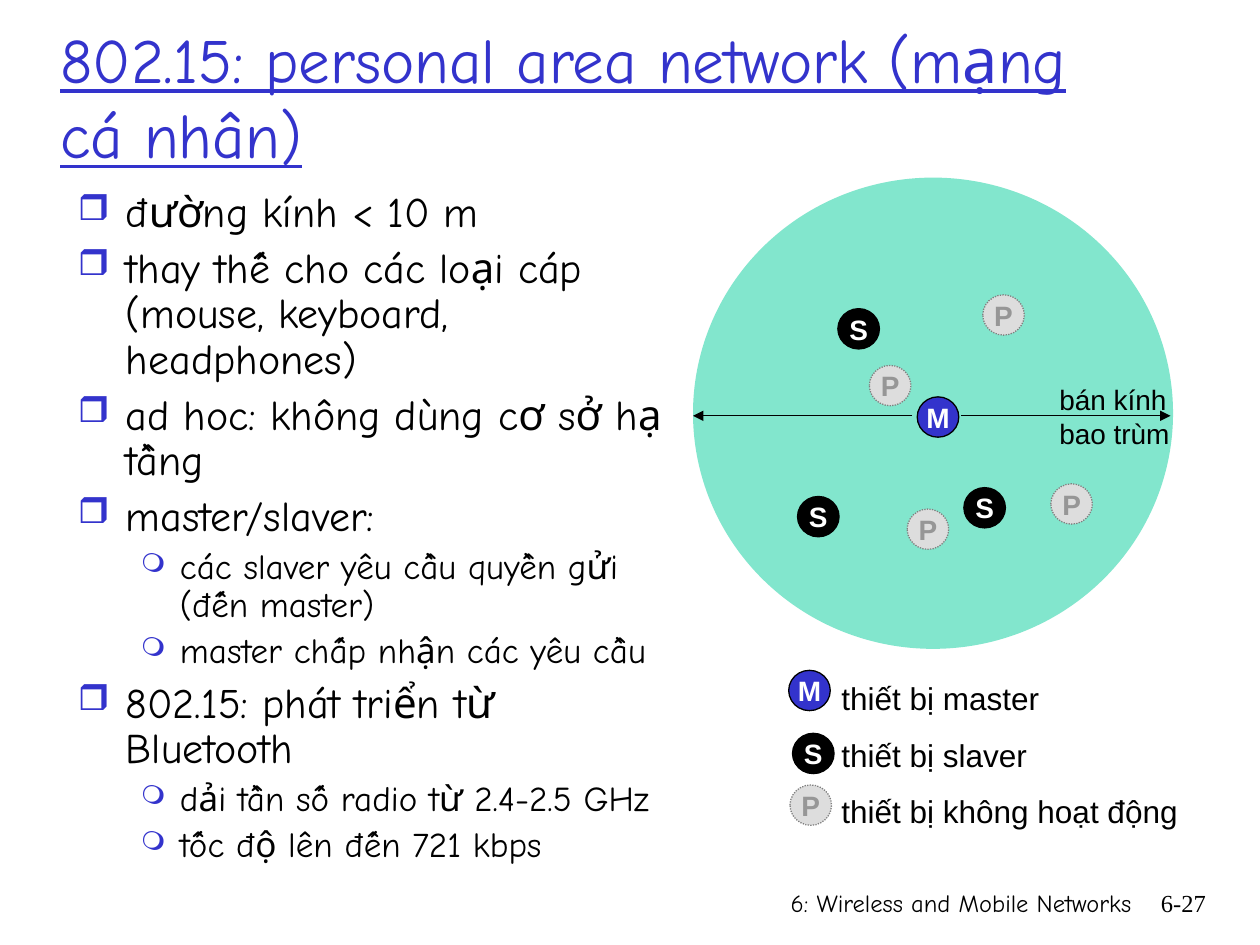
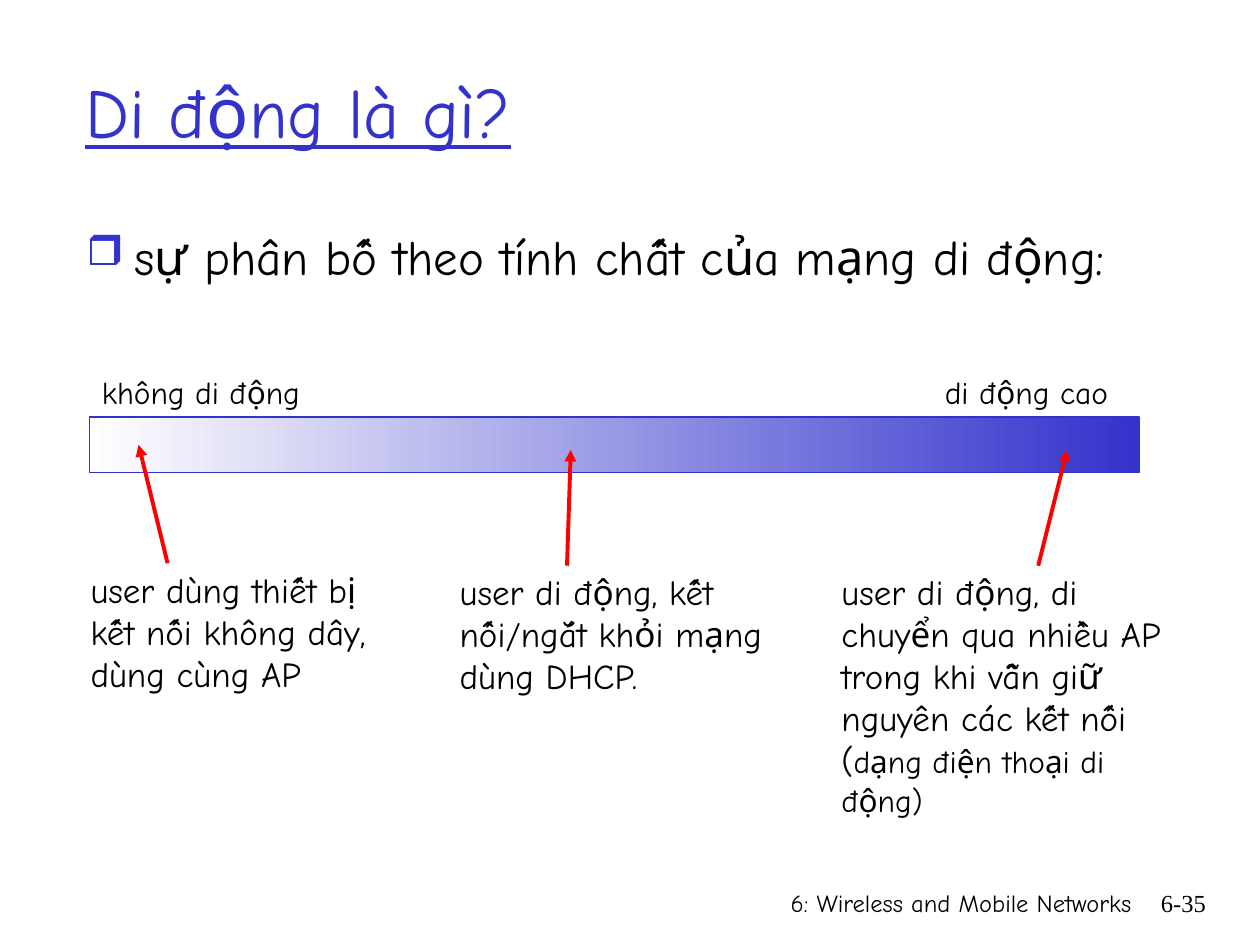
from collections import namedtuple
from dataclasses import dataclass

from lxml import etree
from pptx import Presentation
from pptx.dml.color import RGBColor
from pptx.enum.dml import MSO_LINE_DASH_STYLE as Dash
from pptx.enum.shapes import MSO_CONNECTOR as Connector, MSO_SHAPE as Preset
from pptx.enum.text import MSO_ANCHOR as Anchor, PP_ALIGN as Align
from pptx.oxml.ns import qn
from pptx.util import Inches, Pt

Box = namedtuple("Box", "left top width height")
Level = namedtuple("Level", "mark percent margin hang")
Token = namedtuple("Token", "fill text line dash")


@dataclass(frozen=True)
class Theme:
    """Colours, fonts and type sizes shared by the slides."""

    blue: str = "3333CC"
    black: str = "000000"
    white: str = "FFFFFF"
    red: str = "FF0000"
    coverage: str = "00CC99"
    pale: str = "DDDDDD"
    edge: str = "808080"
    muted: str = "969696"
    hand: str = "Comic Neue"
    sans: str = "Arial"
    serif: str = "Times New Roman"
    footer: int = 14
    token: int = 16
    label: int = 18
    note: int = 20
    long_title: int = 36
    title: int = 40
    dense_bullets: tuple = (24, 20)
    bullets: tuple = (28,)


THEME = Theme()
LEVELS = (Level("❒", 85, 0.38, 0.38), Level("❍", 75, 0.81, 0.31))
TOKENS = {
    "M": Token(THEME.blue, THEME.white, THEME.black, Dash.SOLID),
    "S": Token(THEME.black, THEME.white, THEME.black, Dash.SOLID),
    "P": Token(THEME.pale, THEME.muted, THEME.edge, Dash.ROUND_DOT),
}


def rgb(code):
    """Return the colour for a hexadecimal code."""
    return RGBColor.from_string(code)


def apply(target, values):
    """Set every attribute named in a dict of format values."""
    for name, value in values.items():
        setattr(target, name, value)


def add_span(para, text, size, font=THEME.hand, color=THEME.black, **extra):
    """Add a formatted run to a paragraph."""
    span = para.add_run()
    span.text = text
    apply(span.font, {"size": Pt(size), "name": font, **extra})
    span.font.color.rgb = rgb(color)


def add_paragraphs(frame, count):
    """Return the first paragraph of a frame followed by new ones."""
    return [frame.paragraphs[0]] + [frame.add_paragraph() for _ in range(count - 1)]


def add_text(page, box, lines, size, font=THEME.hand, color=THEME.black,
             align=Align.LEFT, anchor=Anchor.TOP, spacing=1.0, **extra):
    """Add a text box with one paragraph for each line."""
    frame = page.shapes.add_textbox(*map(Inches, box)).text_frame
    apply(frame, {"word_wrap": True, "vertical_anchor": anchor})
    for para, line in zip(add_paragraphs(frame, len(lines)), lines):
        apply(para, {"alignment": align, "line_spacing": spacing})
        add_span(para, line, size, font, color, **extra)
    return frame


def add_bullet(para, level):
    """Give a paragraph the hanging bullet of its level."""
    props = para._p.get_or_add_pPr()
    props.set("marL", str(Inches(level.margin)))
    props.set("indent", str(-Inches(level.hang)))
    color = etree.SubElement(props, qn("a:buClr"))
    etree.SubElement(color, qn("a:srgbClr"), val=THEME.blue)
    etree.SubElement(props, qn("a:buSzPct"), val=str(level.percent * 1000))
    etree.SubElement(props, qn("a:buChar"), char=level.mark)


def add_bullets(page, box, items, sizes, gaps, spacing=1.0):
    """Add a bulleted list of (depth, text) items."""
    frame = page.shapes.add_textbox(*map(Inches, box)).text_frame
    frame.word_wrap = True
    paras = add_paragraphs(frame, len(items))
    for index, (para, (depth, text)) in enumerate(zip(paras, items)):
        add_bullet(para, LEVELS[depth])
        apply(para, {"level": depth, "line_spacing": spacing,
                     "space_before": Pt(gaps[depth] if index else 0)})
        add_span(para, text, sizes[depth])


def add_preset(page, preset, box, color=None):
    """Add a preset shape without shadow, with a plain fill if given."""
    shape = page.shapes.add_shape(preset, *map(Inches, box))
    shape.shadow.inherit = False
    if color:
        shape.fill.solid()
        shape.fill.fore_color.rgb = rgb(color)
    return shape


def set_line(line, color, width):
    """Colour and size an outline."""
    line.color.rgb = rgb(color)
    line.width = Pt(width)


def add_arrow(page, start, end, color, width):
    """Add a straight arrow that points at its end."""
    arrow = page.shapes.add_connector(Connector.STRAIGHT, *map(Inches, start + end))
    set_line(arrow.line, color, width)
    etree.SubElement(arrow.line._get_or_add_ln(), qn("a:tailEnd"), type="triangle")
    etree.SubElement(arrow._element.spPr, qn("a:effectLst"))


def add_token(page, letter, left, top):
    """Add a round device token with its letter."""
    style = TOKENS[letter]
    token = add_preset(page, Preset.OVAL, Box(left, top, 0.33, 0.32), style.fill)
    set_line(token.line, style.line, 0.75)
    token.line.dash_style = style.dash
    frame = token.text_frame
    margins = dict.fromkeys(
        ("margin_left", "margin_right", "margin_top", "margin_bottom"), 0)
    apply(frame, {**margins, "word_wrap": False, "vertical_anchor": Anchor.MIDDLE})
    para = frame.paragraphs[0]
    para.alignment = Align.CENTER
    add_span(para, letter, THEME.token, THEME.sans, style.text, bold=True)


def add_page(deck, number, title, title_box, title_size):
    """Add a blank page with the shared title and footer."""
    page = deck.slides.add_slide(deck.slide_layouts[6])
    add_text(page, Box(4.86, 7, 4.22, 0.5), ["6: Wireless and Mobile Networks"],
             THEME.footer, align=Align.RIGHT)
    add_text(page, Box(8.93, 7, 0.74, 0.5), [number], THEME.footer, THEME.serif,
             align=Align.RIGHT)
    add_text(page, title_box, [title], title_size, color=THEME.blue,
             anchor=Anchor.MIDDLE, underline=True)
    return page


def draw_coverage(page, box):
    """Draw the coverage disc with its radius arrows and devices."""
    disc = add_preset(page, Preset.OVAL, box, THEME.coverage)
    disc.line.fill.background()
    color = disc._element.spPr.find(qn("a:solidFill"))[0]
    etree.SubElement(color, qn("a:alpha"), val="49000")
    axis = box.top + 1.89
    for start, end in ((2.13, 3.79), (1.74, 0)):
        add_arrow(page, (box.left + start, axis), (box.left + end, axis),
                  THEME.black, 0.75)
    add_text(page, Box(box.left + 2.81, box.top + 1.58, 1.3, 0.64),
             ["bán kính", "bao trùm"], THEME.token, THEME.sans)
    places = {
        "M": [(1.78, 1.74)],
        "S": [(1.15, 1.04), (2.15, 2.46), (0.83, 2.53)],
        "P": [(2.3, 0.93), (1.7, 2.63), (1.4, 1.49), (2.84, 2.43)],
    }
    for letter, spots in places.items():
        for left, top in spots:
            add_token(page, letter, box.left + left, box.top + top)


def draw_legend(page, box):
    """Draw the key to the three kinds of device."""
    for letter, left, top in (("M", 0, 0.13), ("S", 0.03, 0.63), ("P", 0.01, 1.04)):
        add_token(page, letter, box.left + left, box.top + top)
    labels = ["thiết bị master", "thiết bị slaver", "thiết bị không hoạt động"]
    add_text(page, Box(box.left + 0.32, box.top, box.width - 0.32, box.height),
             labels, THEME.label, THEME.sans, spacing=1.5)


def draw_spectrum(page, box):
    """Draw the mobility gradient bar with a label over each end."""
    band = add_preset(page, Preset.RECTANGLE, box)
    band.fill.gradient()
    band.fill.gradient_angle = 0
    for stop, color in zip(band.fill.gradient_stops, (THEME.white, THEME.blue)):
        stop.color.rgb = rgb(color)
    set_line(band.line, THEME.blue, 0.75)
    for text, left in (("không di động", 0), ("di động cao", 6.69)):
        add_text(page, Box(box.left + left, box.top - 0.4, 2, 0.4), [text], THEME.label)


def draw_cases(page, box):
    """Draw the three user cases and their arrows to the bar."""
    cases = [
        (0, 2.52, "user dùng thiết bị kết nối không dây, dùng cùng AP", 0.71, 0.48),
        (2.93, 2.66, "user di động, kết nối/ngắt khỏi mạng dùng DHCP.", 3.88, 3.91),
        (5.96, 2.94, "user di động, di chuyển qua nhiều AP trong khi vẫn giữ "
                     "nguyên các kết nối (", 7.62, 7.85),
    ]
    for left, width, text, start, end in cases:
        drop = 0.02 if left else 0
        frame = add_text(page, Box(box.left + left, box.top + drop, width, box.height),
                         [text], THEME.note)
        add_arrow(page, (box.left + start, box.top + 0.01 + drop),
                  (box.left + end, box.top - 0.93 + 2 * drop), THEME.red, 2.25)
    add_span(frame.paragraphs[0], "dạng điện thoại di động)", THEME.label)


def build_personal_network(deck):
    """Build the page on personal area networks."""
    page = add_page(deck, "6-27", "802.15: personal area network (mạng cá nhân)",
                    Box(0.38, 0.3, 8.5, 0.92), THEME.long_title)
    draw_coverage(page, Box(5.5, 1.41, 3.81, 3.74))
    draw_legend(page, Box(6.26, 5.19, 3.4, 1.45))
    items = [
        (0, "đường kính < 10 m"),
        (0, "thay thế cho các loại cáp (mouse, keyboard, headphones)"),
        (0, "ad hoc: không dùng cơ sở hạ tầng"),
        (0, "master/slaver:"),
        (1, "các slaver yêu cầu quyền gửi (đến master)"),
        (1, "master chấp nhận các yêu cầu"),
        (0, "802.15: phát triển từ Bluetooth"),
        (1, "dải tần số radio từ 2.4-2.5 GHz"),
        (1, "tốc độ lên đến 721 kbps"),
    ]
    add_bullets(page, Box(0.52, 1.47, 4.88, 6.03), items, THEME.dense_bullets,
                (6, 5), 0.9)


def build_mobility(deck):
    """Build the page on degrees of mobility."""
    page = add_page(deck, "6-35", "Di động là gì?", Box(0.58, 0.25, 8.5, 1.25),
                    THEME.title)
    add_bullets(page, Box(0.59, 1.75, 8.97, 0.63),
                [(0, "sự phân bố theo tính chất của mạng di động:")],
                THEME.bullets, (7,))
    draw_spectrum(page, Box(0.71, 3.31, 8.33, 0.44))
    draw_cases(page, Box(0.62, 4.46, 8.9, 2.07))


def main():
    """Build and save the deck."""
    deck = Presentation()
    apply(deck, {"slide_width": Inches(10), "slide_height": Inches(7.5)})
    build_personal_network(deck)
    build_mobility(deck)
    deck.save("out.pptx")


if __name__ == "__main__":
    main()
